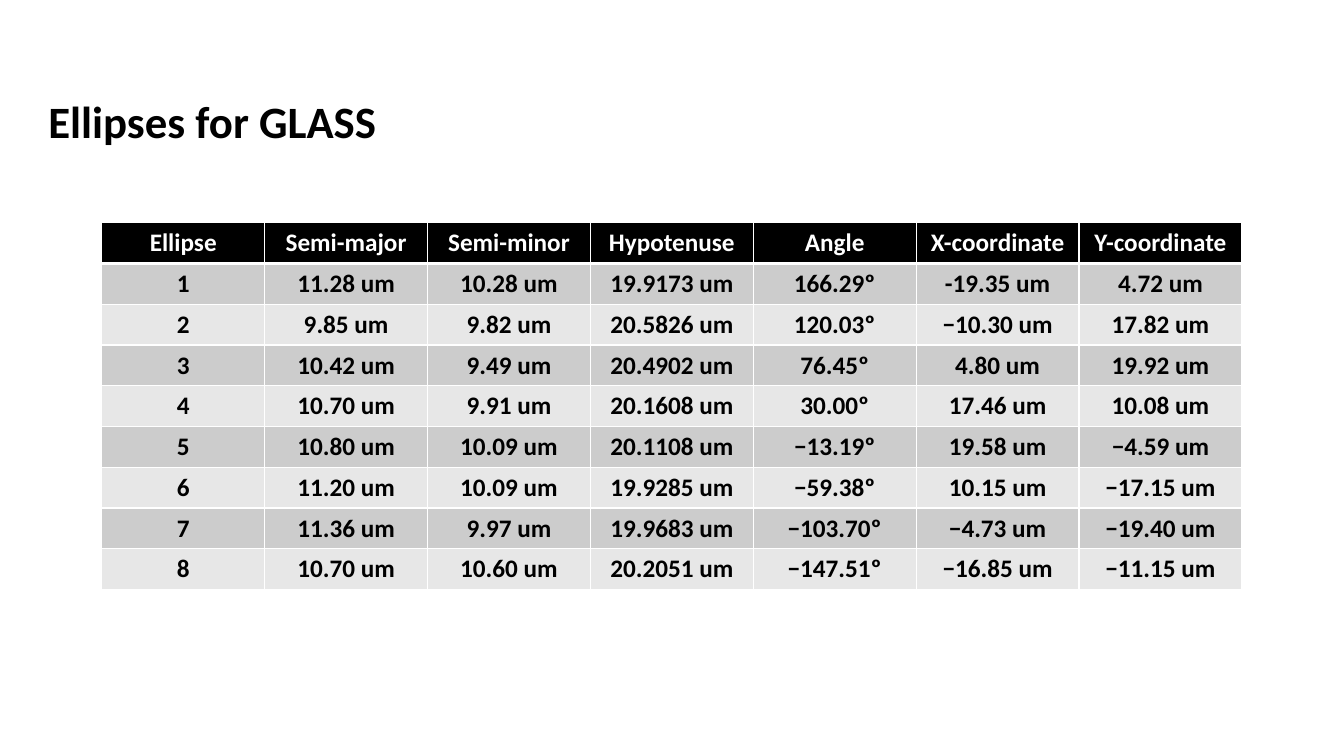
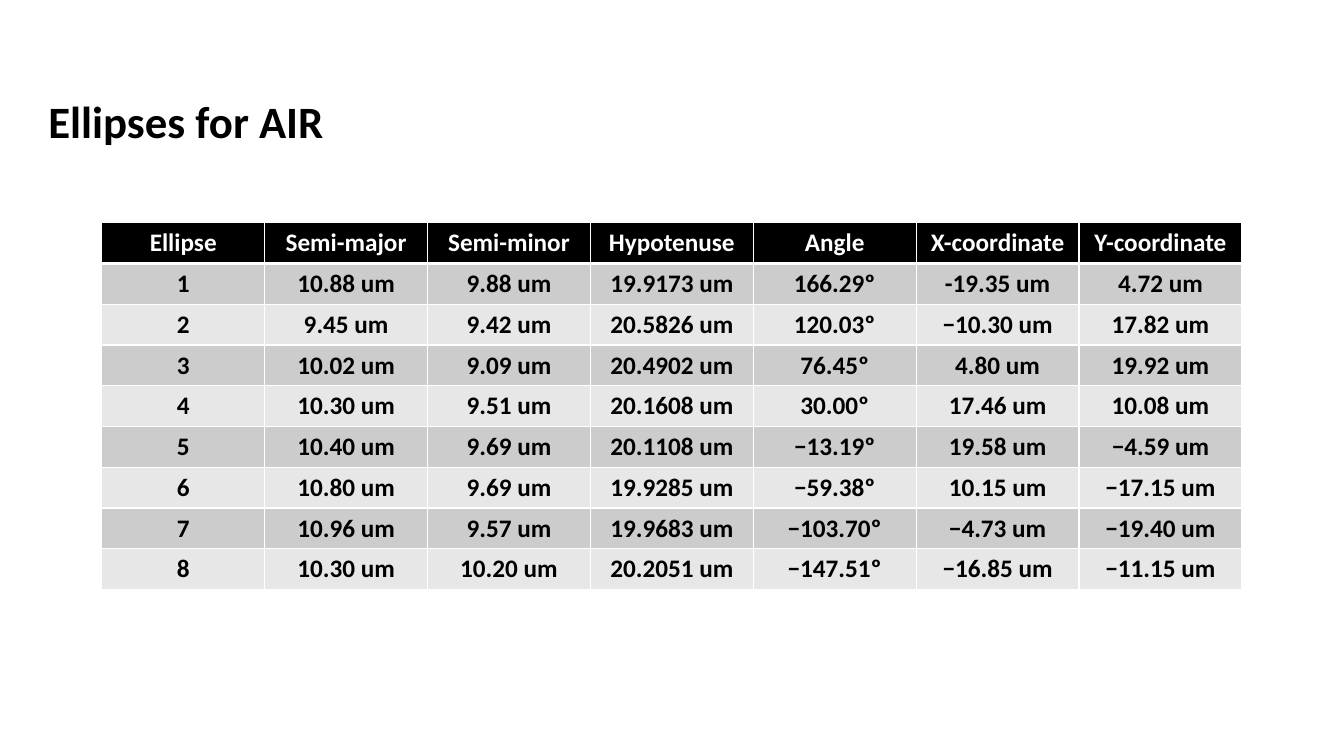
from dataclasses import dataclass

from lxml.etree import SubElement
from pptx import Presentation
from pptx.dml.color import RGBColor
from pptx.enum.text import MSO_ANCHOR, MSO_AUTO_SIZE, PP_ALIGN
from pptx.oxml.ns import qn
from pptx.slide import Slide
from pptx.table import _Cell as Cell
from pptx.util import Inches, Pt

# Shared style
FONT = "Calibri"
COLORS = {"text": "000000", "header": "000000", "header_text": "FFFFFF",
          "odd_row": "CCCCCC", "even_row": "E7E7E7", "border": "FFFFFF"}
TITLE_SIZE, CELL_SIZE = 32, 18
THIN, THICK = 1, 3
TABLE_LEFT, TABLE_TOP, TABLE_WIDTH, TABLE_HEIGHT = 1.01, 2.21, 11.31, 3.64


@dataclass(frozen=True)
class Ellipse:
    semi_major: float
    semi_minor: float
    hypotenuse: str
    angle: str
    x: str
    y: str


@dataclass(frozen=True)
class Medium:
    name: str
    axis_offset: float  # added to both semi-axes, in um


# Data
HEADERS = ("Ellipse", "Semi-major", "Semi-minor", "Hypotenuse", "Angle",
           "X-coordinate", "Y-coordinate")
ELLIPSES = (
    Ellipse(11.28, 10.28, "19.9173", "166.29", "-19.35", "4.72"),
    Ellipse(9.85, 9.82, "20.5826", "120.03", "−10.30", "17.82"),
    Ellipse(10.42, 9.49, "20.4902", "76.45", "4.80", "19.92"),
    Ellipse(10.70, 9.91, "20.1608", "30.00", "17.46", "10.08"),
    Ellipse(10.80, 10.09, "20.1108", "−13.19", "19.58", "−4.59"),
    Ellipse(11.20, 10.09, "19.9285", "−59.38", "10.15", "−17.15"),
    Ellipse(11.36, 9.97, "19.9683", "−103.70", "−4.73", "−19.40"),
    Ellipse(10.70, 10.60, "20.2051", "−147.51", "−16.85", "−11.15"),
)
MEDIA = (Medium("GLASS", 0), Medium("AIR", -0.4))


def table_rows(medium: Medium) -> list[tuple[str, ...]]:
    rows = [HEADERS]
    for number, e in enumerate(ELLIPSES, start=1):
        rows.append((str(number),
                     f"{e.semi_major + medium.axis_offset:.2f} um",
                     f"{e.semi_minor + medium.axis_offset:.2f} um",
                     f"{e.hypotenuse} um", f"{e.angle}º",
                     f"{e.x} um", f"{e.y} um"))
    return rows


def add_run(p, text: str, size: int, color: str) -> None:
    r = p.add_run()
    r.text = text
    r.font.name = FONT
    r.font.size = Pt(size)
    r.font.bold = True
    r.font.color.rgb = RGBColor.from_string(COLORS[color])


def set_borders(cell: Cell, top: int, bottom: int) -> None:
    tc_pr = cell._tc.get_or_add_tcPr()
    widths = {"a:lnL": THIN, "a:lnR": THIN, "a:lnT": top, "a:lnB": bottom}
    for i, (tag, width) in enumerate(widths.items()):
        ln = SubElement(tc_pr, qn(tag), w=str(Pt(width)))
        fill = SubElement(ln, qn("a:solidFill"))
        SubElement(fill, qn("a:srgbClr"), val=COLORS["border"])
        tc_pr.insert(i, ln)  # borders precede the cell fill


def add_title(s: Slide, text: str) -> None:
    sp = s.shapes.title
    sp.left, sp.top = Inches(0.38), Inches(0.88)
    sp.width, sp.height = Inches(6.67), Inches(0.64)
    tf = sp.text_frame
    tf.word_wrap = True
    tf.auto_size = MSO_AUTO_SIZE.SHAPE_TO_FIT_TEXT
    tf.vertical_anchor = MSO_ANCHOR.TOP
    p = tf.paragraphs[0]
    p.alignment = PP_ALIGN.LEFT
    add_run(p, text, TITLE_SIZE, "text")


def add_ellipse_table(s: Slide, rows: list[tuple[str, ...]]) -> None:
    table = s.shapes.add_table(
        len(rows), len(HEADERS), Inches(TABLE_LEFT), Inches(TABLE_TOP),
        Inches(TABLE_WIDTH), Inches(TABLE_HEIGHT)).table
    for i, row in enumerate(rows):
        is_header = i == 0
        fill = "header" if is_header else "odd_row" if i % 2 else "even_row"
        for j, text in enumerate(row):
            cell = table.cell(i, j)
            cell.fill.solid()
            cell.fill.fore_color.rgb = RGBColor.from_string(COLORS[fill])
            set_borders(cell, top=THICK if i == 1 else THIN,
                        bottom=THICK if is_header else THIN)
            p = cell.text_frame.paragraphs[0]
            p.alignment = PP_ALIGN.CENTER
            add_run(p, text, CELL_SIZE, "header_text" if is_header else "text")


def main() -> None:
    prs = Presentation()
    prs.slide_width, prs.slide_height = Inches(13.33), Inches(7.5)
    title_only = prs.slide_layouts[5]
    for medium in MEDIA:
        s = prs.slides.add_slide(title_only)
        add_title(s, f"Ellipses for {medium.name}")
        add_ellipse_table(s, table_rows(medium))
    prs.save("out.pptx")


if __name__ == "__main__":
    main()
